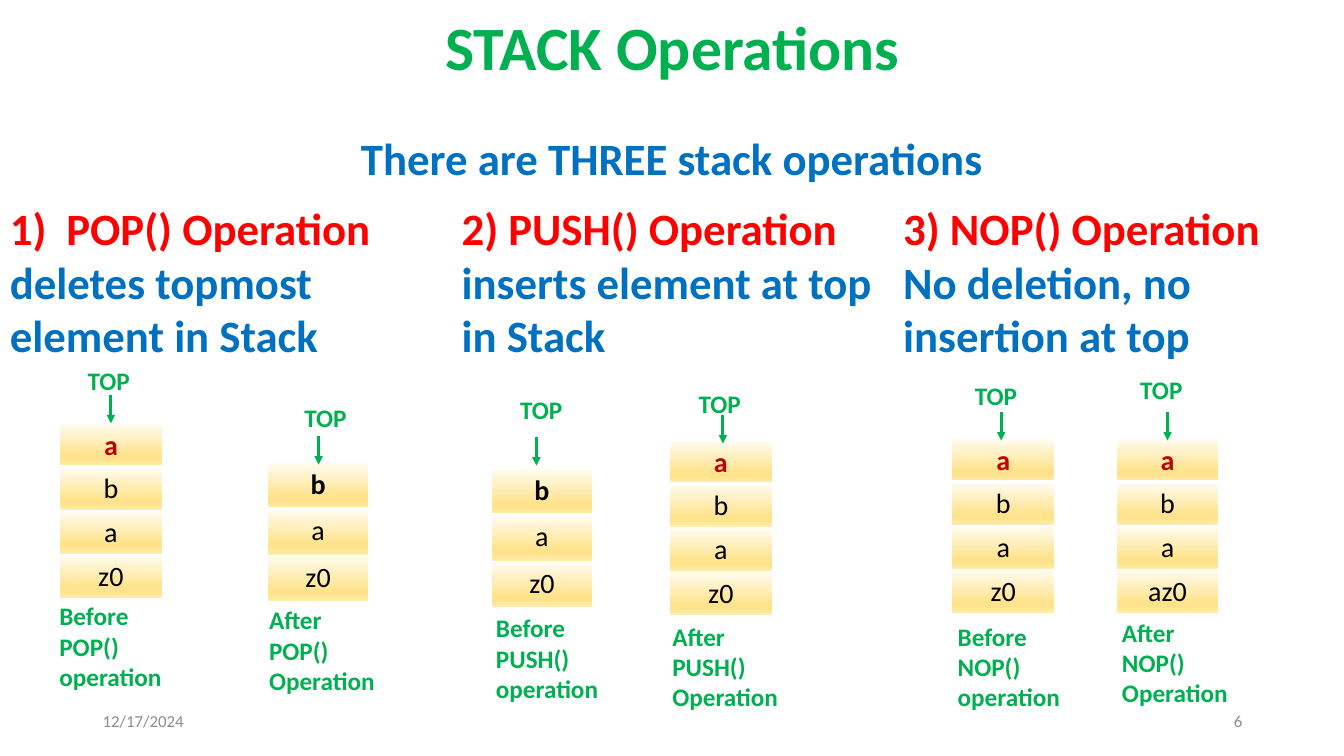
from pptx import Presentation
from pptx.util import Pt
from pptx.dml.color import RGBColor as Rgb
from pptx.enum.shapes import MSO_CONNECTOR as Conn
from pptx.enum.text import PP_ALIGN as Align, MSO_ANCHOR as Anchor
from pptx.oxml import parse_xml
from pptx.oxml.ns import nsdecls
from lxml.etree import SubElement as Sub

PX = 9144
COLORS = dict(green="00B050", blue="0070C0", red="FF0000", dark="C00000",
              black="000000", gray="8C8C8C", white="FFFFFF")
FADE = [(0, "FFFCF2"), (74, "FFE38C"), (83, "FFE38C"), (100, "FFECB2")]

HEADS = [
    ((0, 440), "POP() Operation", "deletes topmost element in Stack", True),
    ((448, 438), "2) PUSH() Operation", "inserts element at top in Stack", False),
    ((886, 447), "3) NOP() Operation", "No deletion, no insertion at top", False),
]
FOUR, THREE = ["a", "b", "a", "z0"], ["b", "a", "z0"]
STACKS = [
    (FOUR, (59, 420), (77, 358), (110, 392), "Before POP() operation", (49, 591)),
    (THREE, (265, 459), (292, 394), (316, 433), "After POP() Operation", (257, 595)),
    (THREE, (487, 465), (506, 386), (532, 434), "Before PUSH() operation", (482, 603)),
    (FOUR, (664, 437), (683, 380), (717, 412), "After PUSH() Operation", (657, 611)),
    (FOUR, (944, 435), (957, 372), (993, 409), "Before NOP() operation", (940, 611)),
    (["a", "b", "a", "az0"], (1107, 435), (1121, 366), (1158, 409),
     "After NOP() Operation", (1103, 607)),
]


def style(par, text, size=18, color="green", bold=True, align=None, space=None):
    par.alignment = align
    par.line_spacing = space
    run = par.add_run()
    run.text = text
    font = run.font
    font.name, font.size, font.bold = "Calibri", Pt(size), bold
    font.color.rgb = Rgb.from_string(COLORS[color])


def write(text, box, anchor=Anchor.TOP, wrap=True, **form):
    frame = slide.shapes.add_textbox(*[n * PX for n in box]).text_frame
    frame.word_wrap = wrap
    frame.vertical_anchor = anchor
    style(frame.paragraphs[0], text, **form)
    return frame


def number(par):
    props = par._p.get_or_add_pPr()
    props.set("marL", str(56 * PX))
    props.set("indent", str(-56 * PX))
    props.append(parse_xml(f'<a:buFont {nsdecls("a")} typeface="+mj-lt"/>'))
    props.append(parse_xml(f'<a:buAutoNum {nsdecls("a")} type="arabicParenR"/>'))


def paint(cell, first):
    props = cell._tc.get_or_add_tcPr()
    for side in "LRTB":
        width = 3 if first and side == "B" else 1
        props.append(parse_xml(
            f'<a:ln{side} {nsdecls("a")} w="{Pt(width)}"><a:solidFill>'
            f'<a:srgbClr val="{COLORS["white"]}"/></a:solidFill></a:ln{side}>'))
    stops = "".join(f'<a:gs pos="{at * 1000}"><a:srgbClr val="{tint}"/></a:gs>'
                    for at, tint in FADE)
    props.append(parse_xml(
        f'<a:gradFill {nsdecls("a")} rotWithShape="1"><a:gsLst>{stops}</a:gsLst>'
        '<a:lin ang="5400000" scaled="0"/></a:gradFill>'))


def stack(items, left, top):
    wide, high = (102, 43) if len(items) == 4 else (101, 46)
    table = slide.shapes.add_table(
        len(items), 1, left * PX, top * PX, wide * PX, high * len(items) * PX).table
    table.horz_banding = table.first_row = False
    for row, item in enumerate(items):
        cell = table.cell(row, 0)
        table.rows[row].height = high * PX
        paint(cell, row == 0)
        color = "dark" if row == 0 and item == "a" else "black"
        style(cell.text_frame.paragraphs[0], item, size=20, color=color,
              bold=row == 0, align=Align.CENTER)


def arrow(left, top):
    line = slide.shapes.add_connector(
        Conn.STRAIGHT, left * PX, top * PX, left * PX, (top + 28) * PX)
    line.line.width = Pt(2)
    line.line.color.rgb = Rgb.from_string(COLORS["green"])
    ends = line.line._get_or_add_ln()
    ends.append(parse_xml(f'<a:tailEnd {nsdecls("a")} type="triangle"/>'))
    Sub(line._element.spPr, "{http://schemas.openxmlformats.org/drawingml/2006/main}effectLst")


deck = Presentation()
deck.slide_width, deck.slide_height = 1333 * PX, 750 * PX
slide = deck.slides.add_slide(deck.slide_layouts[6])

write("STACK Operations", (92, 0, 1150, 100), Anchor.MIDDLE, size=44,
      align=Align.CENTER, space=0.9)
write("There are THREE stack operations", (0, 126, 1333, 68), Anchor.MIDDLE,
      size=32, color="blue", align=Align.CENTER, space=0.9)

for (left, wide), head, body, listed in HEADS:
    frame = write(head, (left, 194, wide, 556), size=32, color="red")
    if listed:
        number(frame.paragraphs[0])
    style(frame.add_paragraph(), body, size=32, color="blue")

for items, spot, top, tip, label, foot in STACKS:
    stack(items, *spot)
    write("TOP", (*top, 68, 40), wrap=False)
    arrow(*tip)
    write(label, (*foot, 128 if label.startswith("Before") else 134, 101))

write("12/17/2024", (92, 695, 300, 40), Anchor.MIDDLE, size=12, color="gray", bold=False)
write("6", (942, 695, 300, 40), Anchor.MIDDLE, size=12, color="gray", bold=False,
      align=Align.RIGHT)

deck.save("out.pptx")
